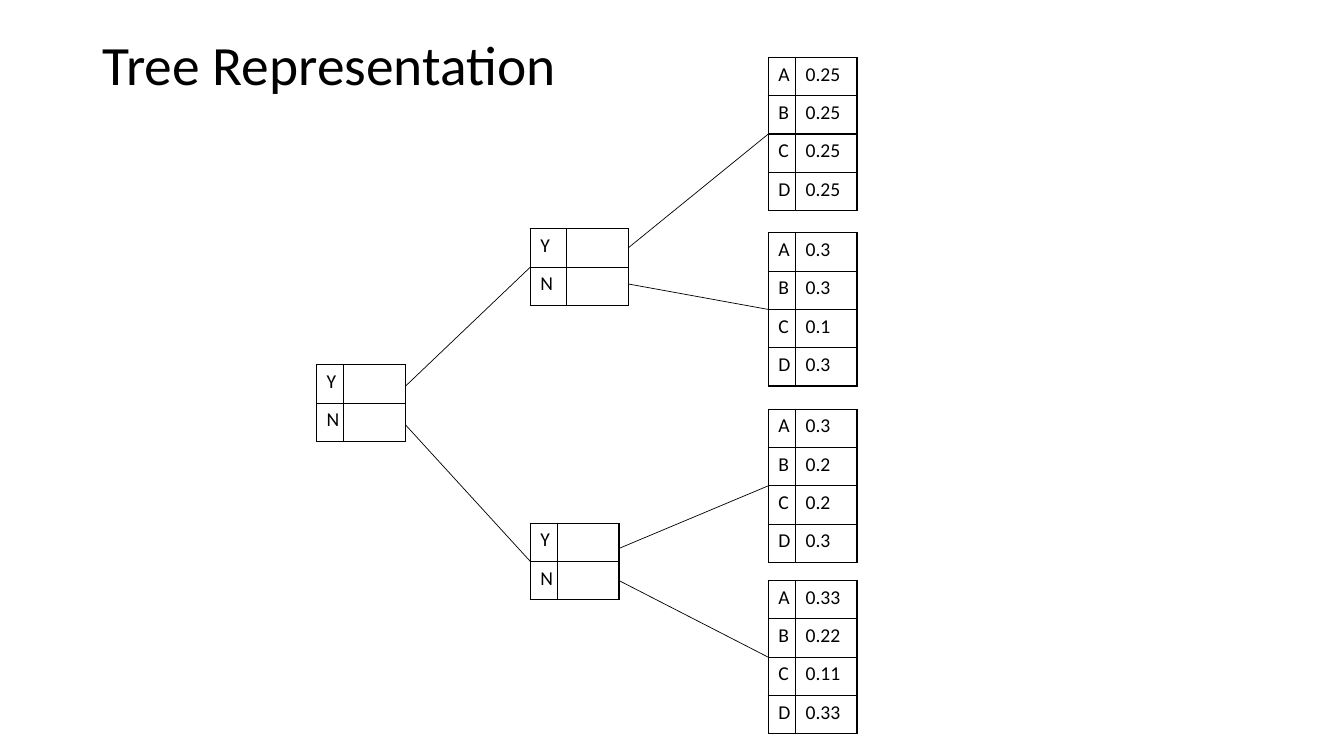
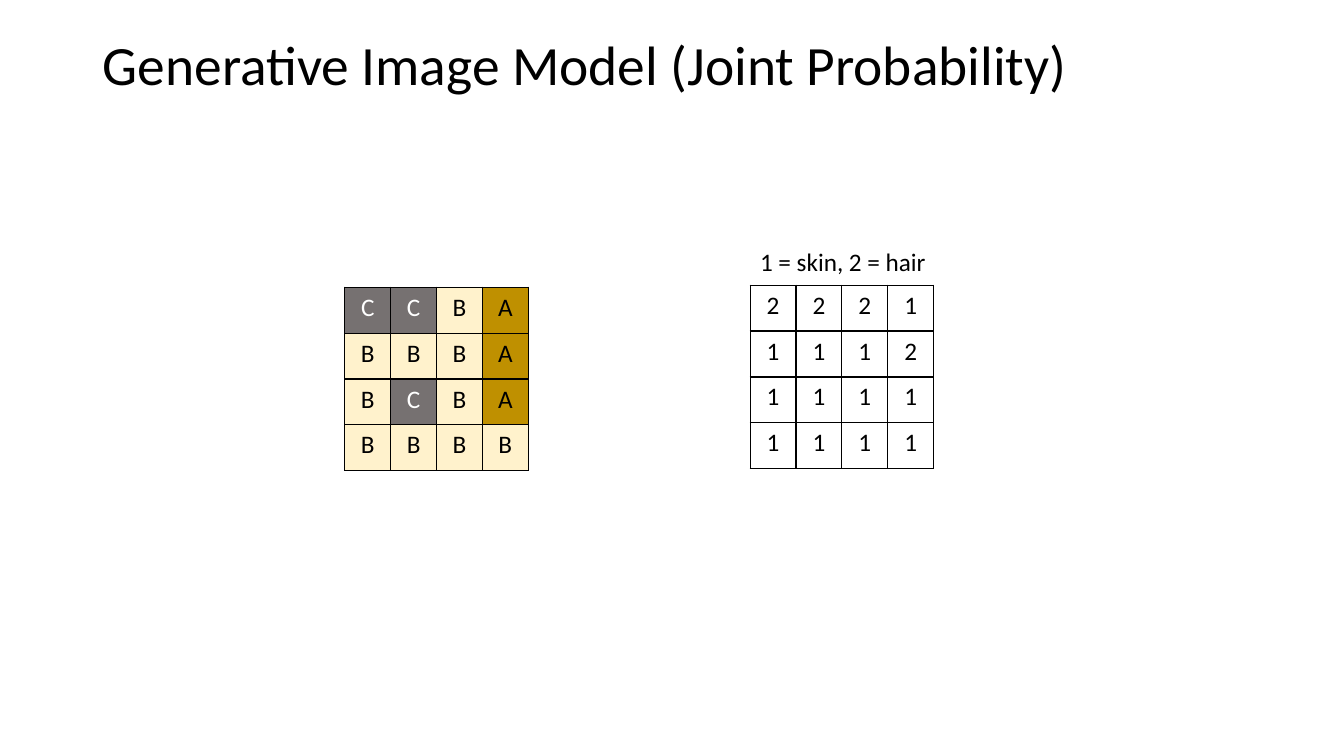
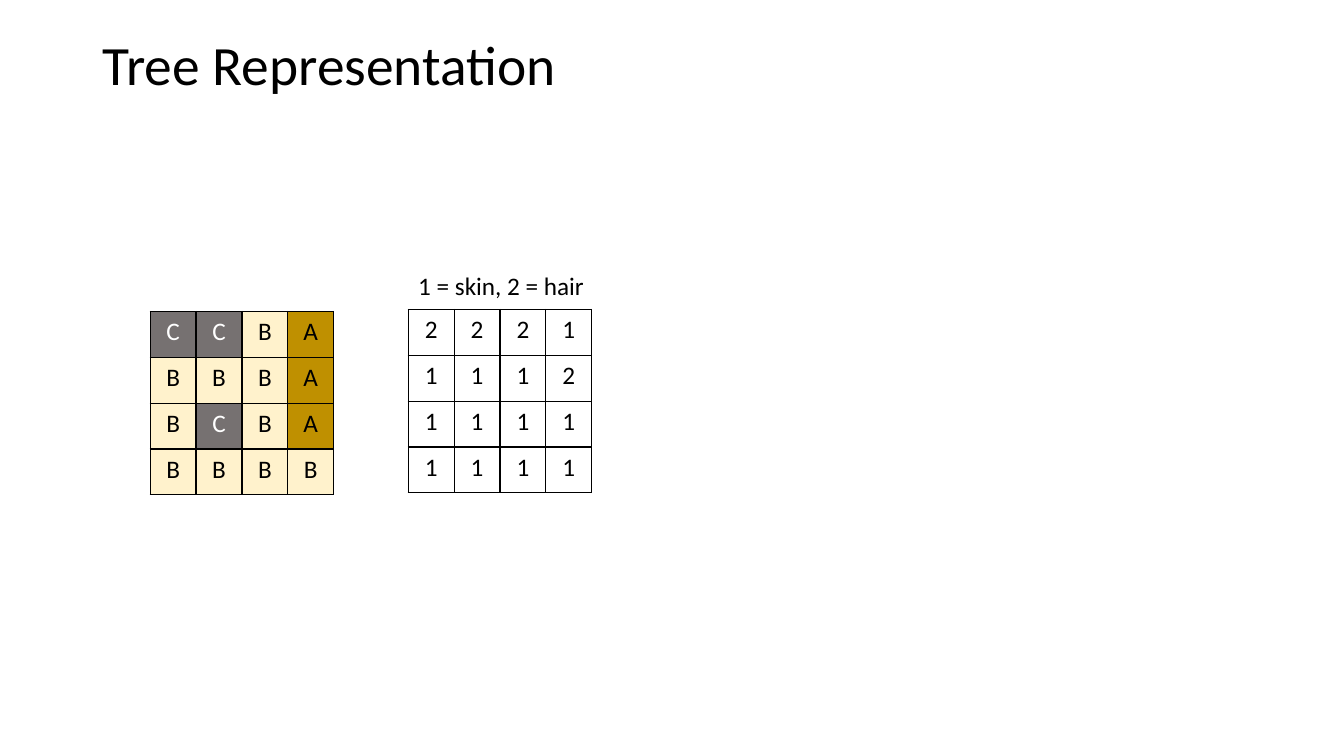
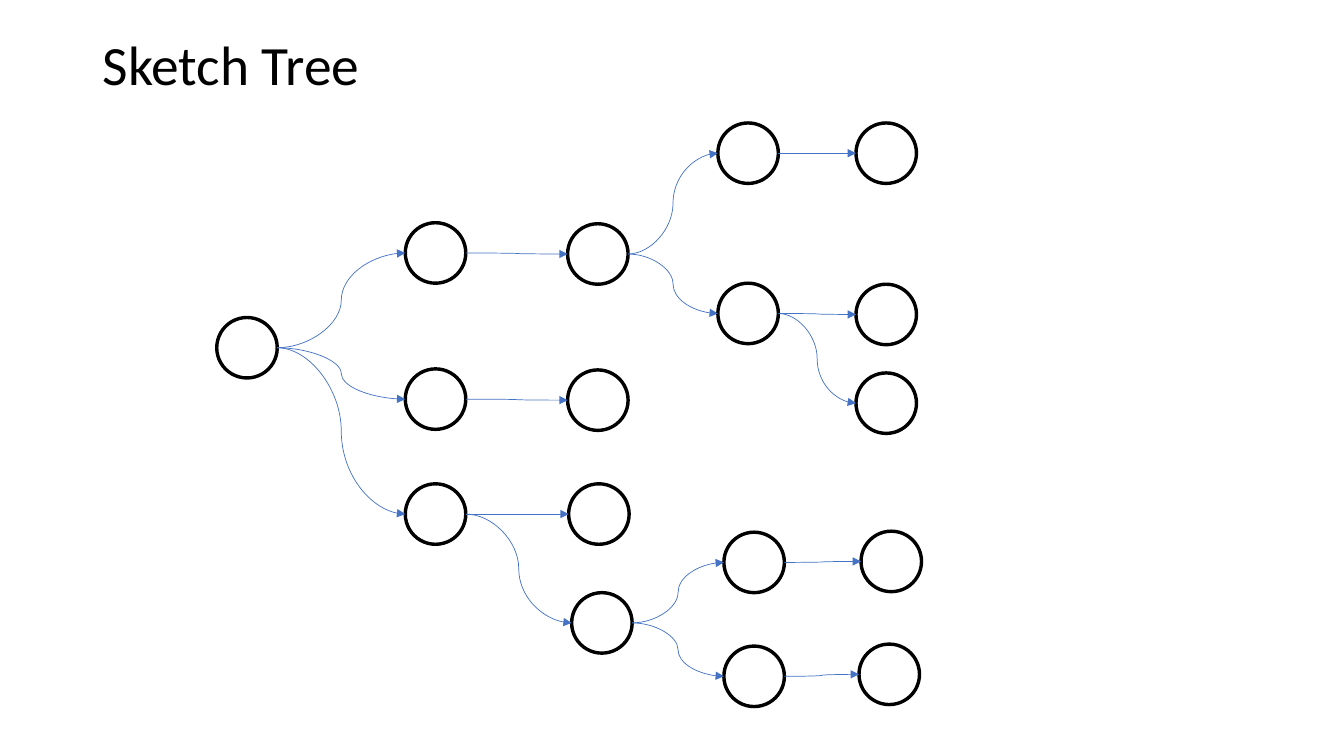
from lxml.etree import SubElement
from pptx import Presentation
from pptx.dml.color import RGBColor
from pptx.enum.shapes import MSO_CONNECTOR as CXN, MSO_SHAPE as SHAPE
from pptx.enum.text import MSO_ANCHOR as ANCHOR, MSO_AUTO_SIZE as FIT, PP_ALIGN as ALIGN
from pptx.oxml.ns import qn
from pptx.util import Inches, Pt

FONT = "Calibri"
BLACK, WHITE, BLUE = "000000", "FFFFFF", "4472C4"
PIXEL_COLORS = {"A": ("BF9000", BLACK), "B": ("FFF2CC", BLACK), "C": ("767171", WHITE)}
PIXELS = ["CCBA", "BBBA", "BCBA", "BBBB"]
MASK = ["2221", "1112", "1111", "1111"]

ROW_H, KEY_W, VALUE_W = 0.38, 0.27, 0.61
GRID = 1.82
CIRCLE = 0.6

# Split: (left, top, key width, heights of the branches as shares, children)
# Leaf: (left, top, probabilities)
DECISION_TREE = (0, 3.05, KEY_W, (0.28, 0.78), [
    (2.12, 1.7, 0.36, (0.25, 0.72), [
        (4.48, 0, ["0.25", "0.25", "0.25", "0.25"]),
        (4.48, 1.74, ["0.3", "0.3", "0.1", "0.3"])]),
    (2.12, 4.62, KEY_W, (0.33, 0.75), [
        (4.48, 3.49, ["0.3", "0.2", "0.2", "0.3"]),
        (4.48, 5.19, ["0.33", "0.22", "0.11", "0.33"])])])

# Node: (left, top, children)
SKETCH_TREE = (0, 1.93, [
    (1.87, 0.99, [
        (3.48, 1, [
            (4.97, 0, [(6.34, 0, [])]),
            (4.97, 1.59, [(6.34, 1.6, []), (6.34, 2.48, [])])])]),
    (1.87, 2.44, [(3.48, 2.45, [])]),
    (1.87, 3.58, [
        (3.49, 3.58, []),
        (3.52, 4.66, [
            (5.03, 4.06, [(6.39, 4.05, [])]),
            (5.03, 5.19, [(6.37, 5.17, [])])])])])


def rgb(color):
    return RGBColor.from_string(color)


def add_text(p, text, size, color=BLACK):
    r = p.add_run()
    r.text = text
    r.font.name, r.font.size, r.font.bold = FONT, Pt(size), False
    r.font.color.rgb = rgb(color)


def add_slide(prs, title):
    s = prs.slides.add_slide(prs.slide_layouts[5])
    sp = s.shapes.title
    sp.left, sp.top, sp.width, sp.height = map(Inches, (0.92, 0.4, 11.5, 0.55))
    tf = sp.text_frame
    tf.auto_size, tf.vertical_anchor = FIT.NONE, ANCHOR.MIDDLE
    p = tf.paragraphs[0]
    p.alignment, p.line_spacing = ALIGN.LEFT, 0.9
    add_text(p, title, 39.6)
    return s


def add_borders(cell):
    tc_pr = cell._tc.get_or_add_tcPr()
    for side in ("a:lnL", "a:lnR", "a:lnT", "a:lnB"):
        ln = SubElement(tc_pr, qn(side), w=str(Pt(1)))
        fill = SubElement(ln, qn("a:solidFill"))
        SubElement(fill, qn("a:srgbClr"), val=BLACK)


def add_grid(s, left, top, rows, col_widths, row_h, size, align=ALIGN.LEFT, colors=None):
    """Bordered table; colors maps a cell's text to its fill and font colour."""
    shape = s.shapes.add_table(len(rows), len(col_widths), Inches(left), Inches(top),
                               Inches(sum(col_widths)), Inches(row_h * len(rows)))
    table = shape.table
    table.first_row = table.horz_banding = False
    for col, width in zip(table.columns, col_widths):
        col.width = Inches(width)
    for row, texts in zip(table.rows, rows):
        row.height = Inches(row_h)
        for cell, text in zip(row.cells, texts):
            fill, color = (colors or {}).get(text, (None, BLACK))
            add_borders(cell)
            if fill:
                cell.fill.solid()
                cell.fill.fore_color.rgb = rgb(fill)
            else:
                cell.fill.background()
            p = cell.text_frame.paragraphs[0]
            p.alignment = align
            if text:
                add_text(p, text, size, color)
            else:
                SubElement(p._p, qn("a:endParaRPr"), sz=str(size * 100))


def add_line(s, kind, start, end, color, arrow=False):
    line = s.shapes.add_connector(kind, *map(Inches, (*start, *end)))
    line.line.width = Pt(0.5)
    line.line.color.rgb = rgb(color)
    if arrow:
        SubElement(line.line._get_or_add_ln(), qn("a:tailEnd"), type="triangle")
    SubElement(line._element.spPr, qn("a:effectLst"))


def draw_decision(s, left, top, node):
    """Draw a node and its branches; return the point where its parent joins it."""
    x, y = left + node[0], top + node[1]
    if len(node) == 3:
        rows, key_w = list(zip("ABCD", node[2])), KEY_W
        exits, children = (), ()
    else:
        rows, (key_w, exits, children) = [("Y", ""), ("N", "")], node[2:]
    add_grid(s, x, y, rows, (key_w, VALUE_W), ROW_H, 14)
    height = ROW_H * len(rows)
    for share, child in zip(exits, children):
        end = draw_decision(s, left, top, child)
        add_line(s, CXN.STRAIGHT, (x + key_w + VALUE_W, y + height * share), end, BLACK)
    return x, y + height / 2


def draw_sketch(s, left, top, node):
    """Draw a circle and its subtree; return the point where its parent joins it."""
    x, y, children = left + node[0], top + node[1], node[2]
    sp = s.shapes.add_shape(SHAPE.OVAL, *map(Inches, (x, y, CIRCLE, CIRCLE)))
    sp.shadow.inherit = False
    sp.fill.background()
    sp.line.color.rgb = rgb(BLACK)
    sp.line.width = Pt(2.43)
    middle = y + CIRCLE / 2
    for child in children:
        end = draw_sketch(s, left, top, child)
        add_line(s, CXN.CURVE, (x + CIRCLE, middle), end, BLUE, arrow=True)
    return x, middle


def draw_mask(s, left, top):
    box = s.shapes.add_textbox(*map(Inches, (left, top - 0.44, 1.87, 0.4)))
    tf = box.text_frame
    tf.word_wrap, tf.auto_size = False, FIT.SHAPE_TO_FIT_TEXT
    add_text(tf.paragraphs[0], "1 = skin, 2 = hair", 18)
    draw_pixels(s, left, top, MASK)


def draw_pixels(s, left, top, rows):
    add_grid(s, left, top, rows, [GRID / 4] * 4, GRID / 4, 18, ALIGN.CENTER, PIXEL_COLORS)


def image_slide(prs, title, pixels_left, mask_left, top):
    s = add_slide(prs, title)
    draw_mask(s, mask_left, top)
    draw_pixels(s, pixels_left, top + 0.02, PIXELS)


def main():
    prs = Presentation()
    prs.slide_width, prs.slide_height = Inches(13.33), Inches(7.5)
    draw_decision(add_slide(prs, "Tree Representation"), 3.14, 0.57, DECISION_TREE)
    image_slide(prs, "Generative Image Model (Joint Probability)", 3.42, 7.44, 2.83)
    image_slide(prs, "Tree Representation", 1.49, 4.05, 3.07)
    draw_sketch(add_slide(prs, "Sketch Tree"), 2.15, 1.22, SKETCH_TREE)
    prs.save("out.pptx")


if __name__ == "__main__":
    main()
